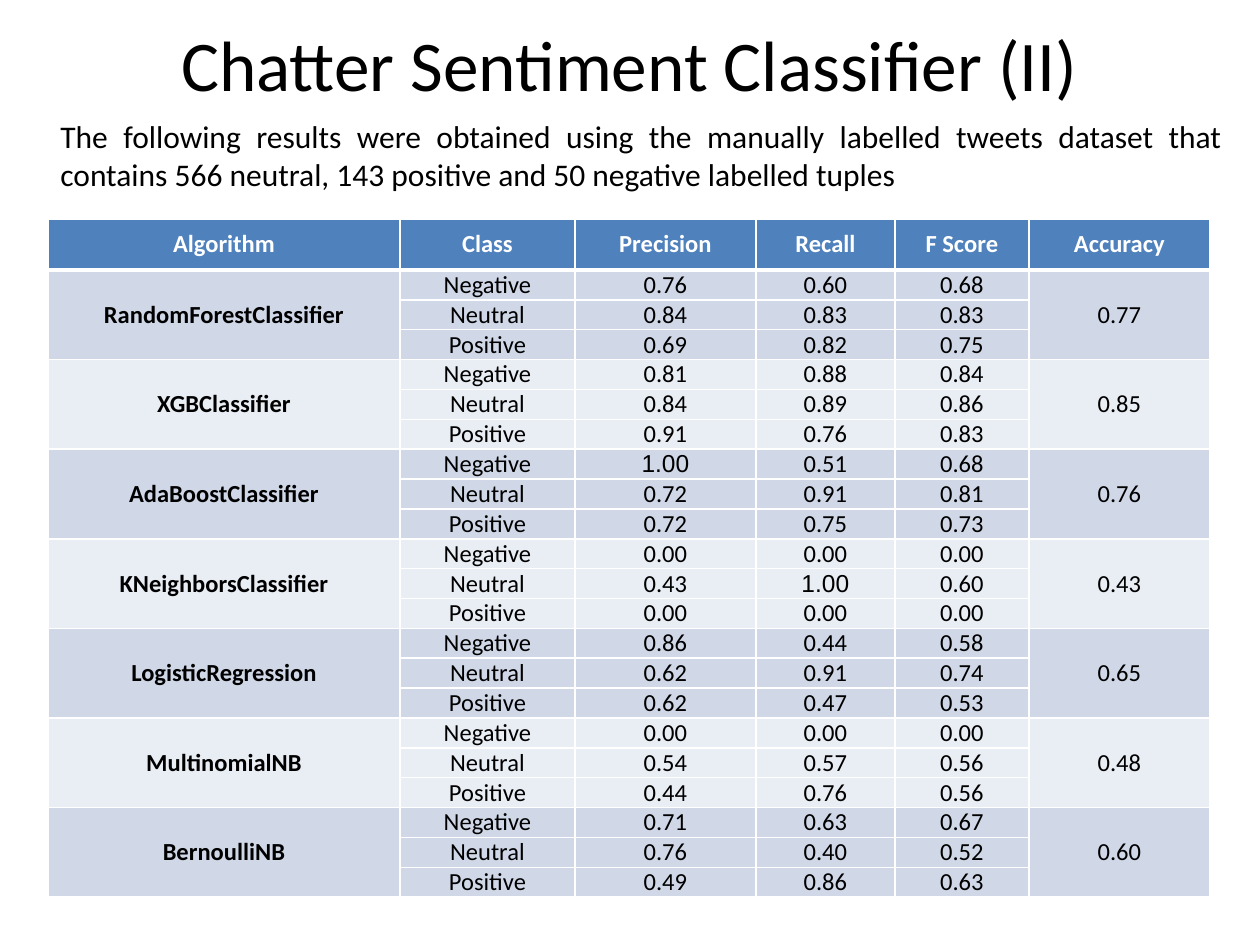
from dataclasses import dataclass
from typing import Any

from lxml import etree
from pptx import Presentation
from pptx.dml.color import RGBColor
from pptx.enum.text import MSO_ANCHOR, MSO_AUTO_SIZE, PP_ALIGN
from pptx.oxml.ns import qn
from pptx.util import Pt

PX = 914400 // 126
MID, TOP, LOW = MSO_ANCHOR.MIDDLE, MSO_ANCHOR.TOP, MSO_ANCHOR.BOTTOM
CENTER, JUSTIFY = PP_ALIGN.CENTER, PP_ALIGN.JUSTIFY
FIXED = MSO_AUTO_SIZE.NONE
BLACK, WHITE, BLUE = "000000", "FFFFFF", "4F81BD"
BANDS = ("D0D8E8", "E9EDF4")
HEADS = ("Algorithm", "Class", "Precision", "Recall", "F Score", "Accuracy")
KINDS = ("Negative", "Neutral", "Positive")
WIDTHS = (352, 175, 181, 139, 134, 181)
HEAD_H, ROW_H = 51, 29


@dataclass
class Model:
    """Scores of one algorithm; each row is precision, recall, F score."""
    name: str
    rows: tuple[str, str, str]
    total: str


MODELS = (
    Model("RandomForestClassifier",
          ("0.76 0.60 0.68", "0.84 0.83 0.83", "0.69 0.82 0.75"), "0.77"),
    Model("XGBClassifier",
          ("0.81 0.88 0.84", "0.84 0.89 0.86", "0.91 0.76 0.83"), "0.85"),
    Model("AdaBoostClassifier",
          ("1.00 0.51 0.68", "0.72 0.91 0.81", "0.72 0.75 0.73"), "0.76"),
    Model("KNeighborsClassifier",
          ("0.00 0.00 0.00", "0.43 1.00 0.60", "0.00 0.00 0.00"), "0.43"),
    Model("LogisticRegression",
          ("0.86 0.44 0.58", "0.62 0.91 0.74", "0.62 0.47 0.53"), "0.65"),
    Model("MultinomialNB",
          ("0.00 0.00 0.00", "0.54 0.57 0.56", "0.44 0.76 0.56"), "0.48"),
    Model("BernoulliNB",
          ("0.71 0.63 0.67", "0.76 0.40 0.52", "0.49 0.86 0.63"), "0.60"),
)


def px(size: int) -> int:
    """Turn pixels into EMU."""
    return size * PX


def paint(target: Any, color: str) -> None:
    """Give a fill or font a solid colour."""
    if hasattr(target, "solid"):
        target.solid()
        target.fore_color.rgb = RGBColor.from_string(color)
    else:
        target.color.rgb = RGBColor.from_string(color)


def write(frame: Any, text: str, size: float, color: str = BLACK,
          align: Any = CENTER, bold: bool = False, face: str = "Calibri") -> None:
    """Add one formatted run to the first paragraph of a frame."""
    para = frame.paragraphs[0]
    para.alignment = align
    run = para.add_run()
    run.text = text
    run.font.size, run.font.name, run.font.bold = Pt(size), face, bold
    paint(run.font, color)


def edge(cell: Any, top: int, base: int) -> None:
    """Draw white borders, with top and bottom widths in points."""
    props = cell._tc.get_or_add_tcPr()
    for spot, (side, width) in enumerate(
            (("L", 1), ("R", 1), ("T", top), ("B", base))):
        line = etree.Element(qn(f"a:ln{side}"), w=str(Pt(width)))
        fill = etree.SubElement(line, qn("a:solidFill"))
        etree.SubElement(fill, qn("a:srgbClr"), val=WHITE)
        props.insert(spot, line)


def style(cell: Any, row: int) -> None:
    """Set the fill, margins and borders for a cell in the given row."""
    cell.vertical_anchor = MID
    cell.margin_left = cell.margin_right = px(8)
    cell.margin_top = cell.margin_bottom = 0
    paint(cell.fill, BANDS[(row - 1) // 3 % 2] if row else BLUE)
    edge(cell, 3 if row == 1 else 1, 1 if row else 3)


def draw_table(slide: Any) -> None:
    """Add the table of scores, with three rows for each model."""
    count = 1 + len(KINDS) * len(MODELS)
    table = slide.shapes.add_table(
        count, len(HEADS), px(48), px(219), px(sum(WIDTHS)),
        px(HEAD_H + ROW_H * (count - 1))).table
    for col, width in zip(table.columns, WIDTHS):
        col.width = px(width)
    for num, row in enumerate(table.rows):
        row.height = px(ROW_H if num else HEAD_H)
        for cell in row.cells:
            style(cell, num)
    for col, head in enumerate(HEADS):
        write(table.cell(0, col).text_frame, head, 14, WHITE, bold=True)
    last = len(HEADS) - 1
    for num, model in enumerate(MODELS):
        first = 1 + num * len(KINDS)
        for col, text in ((0, model.name), (last, model.total)):
            cell = table.cell(first, col)
            cell.merge(table.cell(first + len(KINDS) - 1, col))
            write(cell.text_frame, text, 14, bold=col == 0)
        for step, (kind, scores) in enumerate(zip(KINDS, model.rows)):
            for col, text in enumerate((kind, *scores.split()), 1):
                face = "Arial" if text == "1.00" else "Calibri"
                write(table.cell(first + step, col).text_frame, text, 14,
                      face=face)


def place(shape: Any, box: tuple[int, int, int, int], anchor: Any) -> Any:
    """Place a text shape and return its wrapped frame."""
    shape.left, shape.top, shape.width, shape.height = map(px, box)
    frame = shape.text_frame
    frame.word_wrap, frame.auto_size = True, FIXED
    frame.vertical_anchor = anchor
    return frame


def main() -> None:
    """Build and save the slide."""
    deck = Presentation()
    deck.slide_width, deck.slide_height = px(1260), px(945)
    slide = deck.slides.add_slide(deck.slide_layouts[5])
    paint(slide.background.fill, WHITE)
    title = place(slide.shapes.title, (26, 16, 1207, 96), LOW)
    write(title, "Chatter Sentiment Classifier (II)", 40.7)
    draw_table(slide)
    intro = place(slide.shapes.add_textbox(0, 0, 0, 0),
                  (48, 111, 1187, 126), TOP)
    write(intro, "The following results were obtained using the manually "
          "labelled tweets dataset that contains 566 neutral, 143 positive "
          "and 50 negative labelled tuples", 18, align=JUSTIFY)
    deck.save("out.pptx")


main()
